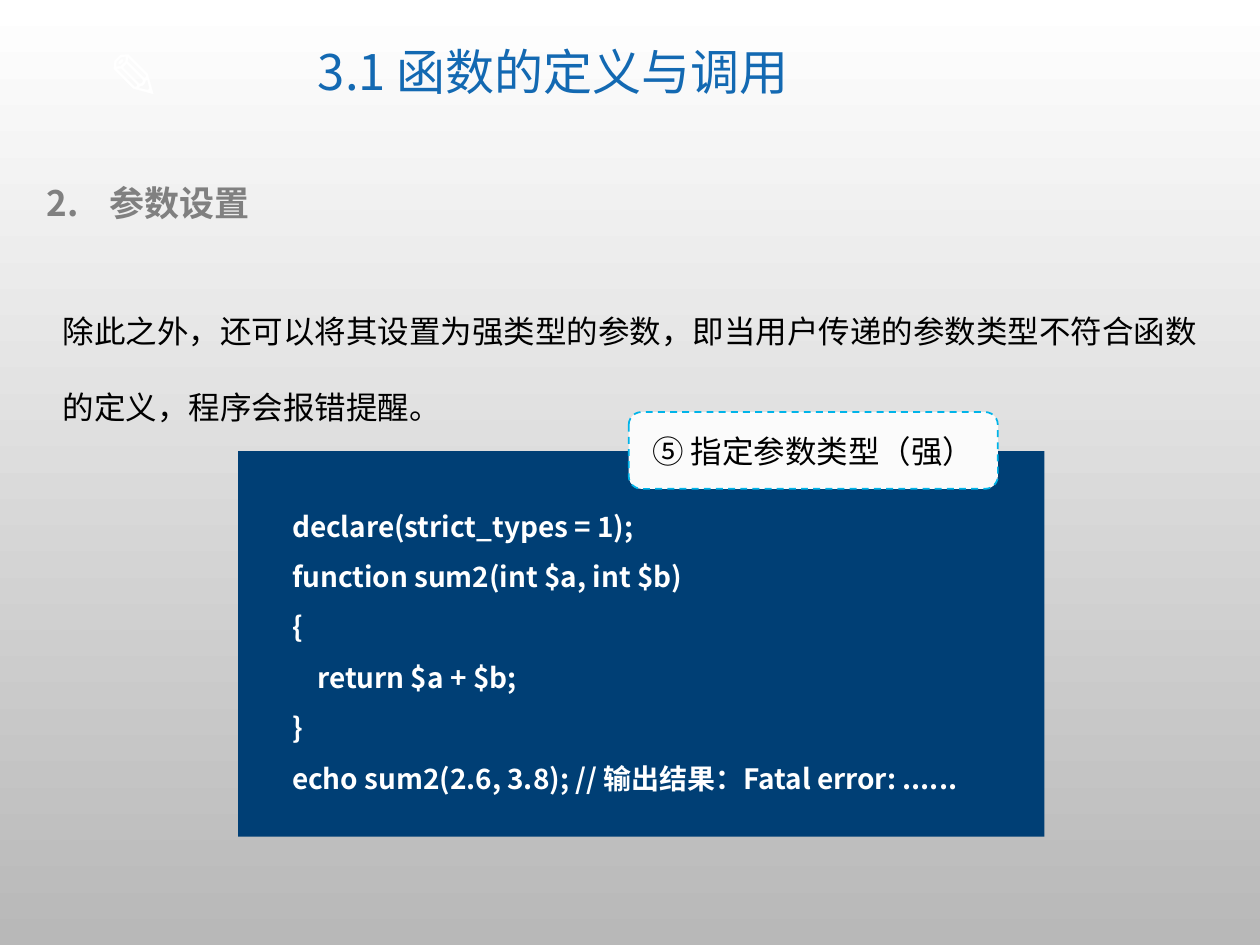
import pptx
import pptx.dml.color
import pptx.enum.dml
import pptx.enum.shapes
import pptx.enum.text
import pptx.oxml
import pptx.oxml.ns
import pptx.util
from pptx.util import Inches

RGBColor = pptx.dml.color.RGBColor
WHITE = RGBColor(0xFF, 0xFF, 0xFF)
SILVER = RGBColor(0xB8, 0xB8, 0xB8)
GRAY = RGBColor(0x80, 0x80, 0x80)
BLACK = RGBColor(0, 0, 0)
BLUE = RGBColor(0x13, 0x69, 0xB2)
NAVY = RGBColor(0x00, 0x3F, 0x75)
CYAN = RGBColor(0x00, 0xB4, 0xE9)
PAPER = RGBColor(0xFB, 0xFB, 0xFB)

CJK = "Noto Sans CJK SC"
ALIGN = pptx.enum.text.PP_ALIGN
ANCHOR = pptx.enum.text.MSO_ANCHOR
SHAPES = pptx.enum.shapes.MSO_SHAPE


class SlideStyle:
    """Holds the text style and the current slide."""

    def __init__(self, page):
        self.page = page

    def background(self, top, bottom):
        fill = self.page.background.fill
        fill.gradient()
        fill.gradient_angle = 270
        for stop, color in zip(fill.gradient_stops, (top, bottom)):
            stop.color.rgb = color

    def place(self, shape, left, top, width, height):
        shape.left, shape.top = Inches(left), Inches(top)
        shape.width, shape.height = Inches(width), Inches(height)
        return shape

    def set_text(self, shape, lines, size, color, font=CJK, bold=False,
                 align=ALIGN.LEFT, spacing=1.0, anchor=ANCHOR.TOP, wrap=True):
        frame = shape.text_frame
        frame.text = "\n".join(lines)
        frame.word_wrap = wrap
        frame.auto_size = pptx.enum.text.MSO_AUTO_SIZE.NONE
        frame.vertical_anchor = anchor
        for para in frame.paragraphs:
            para.alignment = align
            para.line_spacing = spacing
            para.space_before = pptx.util.Pt(0)
            para.font.size = pptx.util.Pt(size)
            para.font.bold = bold
            para.font.color.rgb = color
            para.font.name = font
            # East Asian glyphs need their own typeface entry
            latin = para.font._element.find(pptx.oxml.ns.qn("a:latin"))
            latin.addnext(pptx.oxml.parse_xml(
                f'<a:ea {pptx.oxml.ns.nsdecls("a")} typeface="{CJK}"/>'))
        return frame

    def text(self, box, lines, size, color, parent=None, **style):
        shapes = (parent or self.page).shapes
        shape = shapes.add_textbox(*(Inches(length) for length in box))
        return self.set_text(shape, lines, size, color, **style)

    def panel(self, kind, box, fill, parent=None, border=None):
        shapes = (parent or self.page).shapes
        shape = shapes.add_shape(kind, *(Inches(length) for length in box))
        shape.shadow.inherit = False
        shape.fill.solid()
        shape.fill.fore_color.rgb = fill
        if border is None:
            shape.line.fill.background()
        else:
            shape.line.color.rgb = border
            shape.line.width = pptx.util.Pt(1)
            shape.line.dash_style = pptx.enum.dml.MSO_LINE.DASH
        return shape

    def indent(self, para, margin, first=0):
        properties = para._p.get_or_add_pPr()
        properties.set("marL", str(Inches(margin)))
        properties.set("indent", str(Inches(first)))

    def number(self, para, start):
        self.indent(para, 0.5, -0.5)
        para.font._element.addprevious(pptx.oxml.parse_xml(
            f'<a:buAutoNum {pptx.oxml.ns.nsdecls("a")} '
            f'type="arabicPeriod" startAt="{start}"/>'))


def main():
    deck = pptx.Presentation()
    deck.slide_width, deck.slide_height = Inches(10), Inches(7.5)
    page = deck.slides.add_slide(deck.slide_layouts[1])
    style = SlideStyle(page)
    style.background(WHITE, SILVER)

    # Title with its pencil mark
    style.text((0.76, 0.24, 0.86, 0.71), ["✎"], 36, WHITE, bold=True, wrap=False)
    title = style.place(page.shapes.title, 1.81, 0.17, 5.16, 0.85)
    style.set_text(title, ["3.1 函数的定义与调用"], 28, BLUE,
                   align=ALIGN.CENTER, spacing=0.9, anchor=ANCHOR.MIDDLE)

    # Numbered heading and explanation
    heading = style.place(page.placeholders[1], 0.27, 1.39, 9.22, 0.44)
    frame = style.set_text(heading, ["参数设置"], 20, GRAY, bold=True)
    style.number(frame.paragraphs[0], 2)
    style.text((0.4, 2.13, 9.4, 1.31),
               ["除此之外，还可以将其设置为强类型的参数，即当用户传递的参数类型不符合"
                "函数的定义，程序会报错提醒。"],
               18, BLACK, font="Arial", spacing=2.0)

    # Code panel
    listing = page.shapes.add_group_shape()
    style.panel(SHAPES.RECTANGLE, (1.89, 3.58, 6.4, 3.06), NAVY, parent=listing)
    code = ["declare(strict_types = 1);",
            "function sum2(int $a, int $b)",
            "{",
            "return $a + $b;",
            "}",
            "echo sum2(2.6, 3.8); // 输出结果：Fatal error: ......"]
    frame = style.text((2.22, 3.86, 6.06, 2.52), code, 16, WHITE,
                       parent=listing, bold=True, spacing=1.5)
    style.indent(frame.paragraphs[3], 0.2)

    # Callout on the panel's top edge
    callout = style.panel(SHAPES.ROUNDED_RECTANGLE, (4.99, 3.27, 2.93, 0.61),
                          PAPER, border=CYAN)
    style.set_text(callout, ["⑤ 指定参数类型（强）"], 18, BLACK, font="Calibri",
                   align=ALIGN.CENTER, anchor=ANCHOR.MIDDLE)

    deck.save("out.pptx")


if __name__ == "__main__":
    main()
